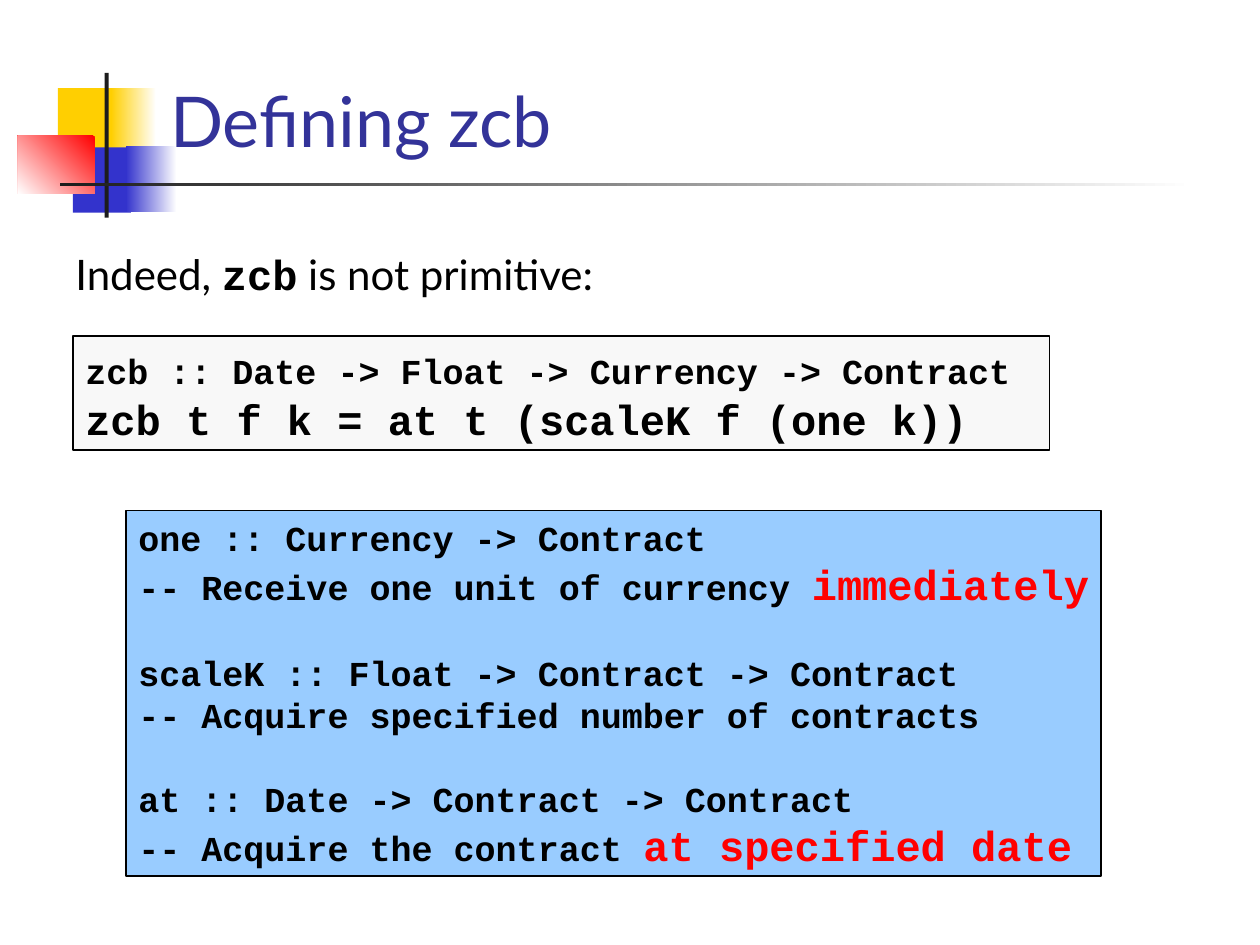
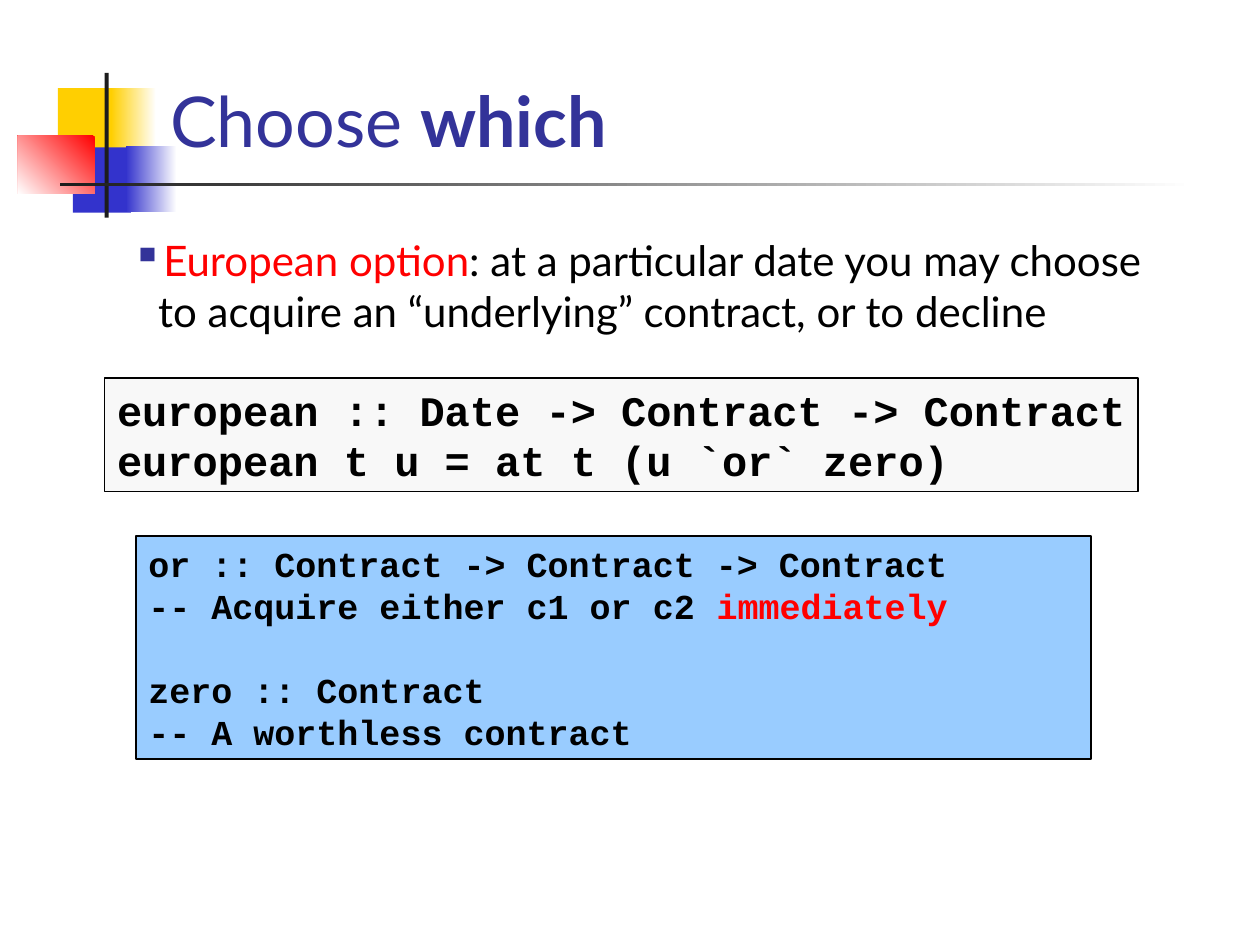
from lxml.etree import SubElement
from pptx import Presentation
from pptx.dml.color import RGBColor
from pptx.enum.shapes import MSO_SHAPE
from pptx.enum.text import MSO_ANCHOR, PP_ALIGN
from pptx.oxml.ns import qn
from pptx.util import Cm, Pt

WHITE = RGBColor(0xFF, 0xFF, 0xFF)
BLACK = RGBColor(0x00, 0x00, 0x00)
RED = RGBColor(0xFF, 0x00, 0x00)
YELLOW = RGBColor(0xFF, 0xCF, 0x01)
BLUE = RGBColor(0x33, 0x33, 0xCC)
CHARCOAL = RGBColor(0x1C, 0x1C, 0x1C)
INDIGO = RGBColor(0x33, 0x33, 0x99)
PALE_GRAY = RGBColor(0xF8, 0xF8, 0xF8)
SKY = RGBColor(0x99, 0xCC, 0xFF)

HEADING = {"name": "Lato", "size": Pt(40), "bold": False}
HEADING_BOLD = {**HEADING, "bold": True}
PROSE = {"name": "Lato", "size": Pt(24), "bold": False}
CODE = {"name": "Courier New", "size": Pt(20), "bold": True}
BIG_CODE = {**CODE, "size": Pt(24)}

INSETS = {"margin_left": Cm(0.25), "margin_right": Cm(0),
          "margin_top": Cm(0.13), "margin_bottom": Cm(0.13), "word_wrap": True}
LINE_HEIGHT = 1.2
BLOCK_GAP = Pt(24)

MOTIF = [
    ((1.17, 1.78, 1.22, 1.32), [YELLOW], None),
    ((2.24, 1.78, 0.91, 1.32), [WHITE, YELLOW], 180),
    ((1.47, 2.97, 1.17, 1.32), [BLUE], None),
    ((2.54, 2.95, 1.02, 1.32), [WHITE, BLUE], 180),
    ((0.36, 2.74, 1.55, 1.17), [RED, WHITE], 225),
    ((2.11, 1.47, 0.08, 2.92), [CHARCOAL], None),
    ((1.22, 3.68, 22.86, 0.08), [WHITE, CHARCOAL], 180),
]
TITLE_BOX = (3.18, 0.2, 21.64, 3.18)

SLIDES = [
    {
        "title": [("Defining zcb", HEADING, INDIGO)],
        "lead": ((1.27, 4.88, 22.25, 1.27), [
            ("Indeed, ", PROSE, BLACK),
            ("zcb", BIG_CODE, BLACK),
            (" is not primitive:", PROSE, BLACK),
        ]),
        "bulleted": False,
        "definition": ((1.47, 6.78, 19.69, 2.29), [[
            [("zcb :: Date -> Float -> Currency -> Contract", CODE, BLACK), (" ", BIG_CODE, BLACK)],
            [("zcb t f k = at t (scaleK f (one k))", BIG_CODE, BLACK)],
        ]]),
        "primitives": ((2.54, 10.29, 19.66, 7.37), [
            [
                [("one :: Currency -> Contract", CODE, BLACK)],
                [("-- Receive one unit of currency ", CODE, BLACK), ("immediately", BIG_CODE, RED)],
            ],
            [
                [("scaleK :: Float -> Contract -> Contract", CODE, BLACK)],
                [("-- Acquire specified number of contracts", CODE, BLACK)],
            ],
            [
                [("at :: Date -> Contract -> Contract", CODE, BLACK)],
                [("-- Acquire the contract ", CODE, BLACK), ("at specified date", BIG_CODE, RED)],
            ],
        ]),
    },
    {
        "title": [("Choose ", HEADING, INDIGO), ("which", HEADING_BOLD, INDIGO)],
        "lead": ((2.41, 4.6, 21.51, 3.3), [
            ("European option", PROSE, RED),
            (": at a particular date you may choose to acquire an “underlying” contract, or to decline",
             PROSE, BLACK),
        ]),
        "bulleted": True,
        "definition": ((2.11, 7.62, 20.83, 2.29), [[
            [("european :: Date -> Contract -> Contract", BIG_CODE, BLACK)],
            [("european t u = at t (u `or` zero)", BIG_CODE, BLACK)],
        ]]),
        "primitives": ((2.74, 10.8, 19.25, 4.5), [
            [
                [("or :: Contract -> Contract -> Contract", CODE, BLACK)],
                [("-- Acquire either c1 or c2 ", CODE, BLACK), ("immediately", CODE, RED)],
            ],
            [
                [("zero :: Contract", CODE, BLACK)],
                [("-- A worthless contract", CODE, BLACK)],
            ],
        ]),
    },
]


def add_rectangle(slide, box):
    rectangle = slide.shapes.add_shape(MSO_SHAPE.RECTANGLE, *map(Cm, box))
    rectangle.shadow.inherit = False
    rectangle.fill.solid()
    rectangle.line.fill.background()
    return rectangle


def write_blocks(frame, blocks, anchor=MSO_ANCHOR.TOP):
    for attribute, value in {**INSETS, "vertical_anchor": anchor}.items():
        setattr(frame, attribute, value)
    paragraph = frame.paragraphs[0]
    for block_index, block in enumerate(blocks):
        for line_index, line in enumerate(block):
            if block_index or line_index:
                paragraph = frame.add_paragraph()
            tallest = max(style["size"].pt for _, style, _ in line)
            paragraph.alignment = PP_ALIGN.LEFT
            paragraph.line_spacing = Pt(LINE_HEIGHT * tallest)
            if block_index and not line_index:
                paragraph.space_before = BLOCK_GAP
            for text, style, color in line:
                run = paragraph.add_run()
                run.text = text
                for attribute, value in style.items():
                    setattr(run.font, attribute, value)
                run.font.color.rgb = color


deck = Presentation()
deck.slide_width, deck.slide_height = Cm(25.4), Cm(19.05)

for content in SLIDES:
    slide = deck.slides.add_slide(deck.slide_layouts[6])

    for box, colors, angle in MOTIF:
        patch = add_rectangle(slide, box)
        if angle is None:
            patch.fill.fore_color.rgb = colors[0]
        else:
            patch.fill.gradient()
            patch.fill.gradient_angle = angle
            for stop, color in zip(patch.fill.gradient_stops, colors):
                stop.color.rgb = color

    title = slide.shapes.add_textbox(*map(Cm, TITLE_BOX))
    write_blocks(title.text_frame, [[content["title"]]], MSO_ANCHOR.BOTTOM)

    for part, fill in (("definition", PALE_GRAY), ("primitives", SKY)):
        box, blocks = content[part]
        listing = add_rectangle(slide, box)
        listing.fill.fore_color.rgb = fill
        listing.line.color.rgb = BLACK
        listing.line.width = Pt(1)
        write_blocks(listing.text_frame, blocks)

    box, sentence = content["lead"]
    lead = slide.shapes.add_textbox(*map(Cm, box))
    write_blocks(lead.text_frame, [[sentence]])
    lead.text_frame.margin_right = Cm(0.25)
    if content["bulleted"]:
        properties = lead.text_frame.paragraphs[0]._p.get_or_add_pPr()
        properties.set("marL", str(Cm(0.53)))
        properties.set("indent", str(-Cm(0.53)))
        bullet_color = SubElement(properties, qn("a:buClr"))
        SubElement(bullet_color, qn("a:srgbClr"), val=str(INDIGO))
        SubElement(properties, qn("a:buChar"), char="▪")

deck.save("out.pptx")
